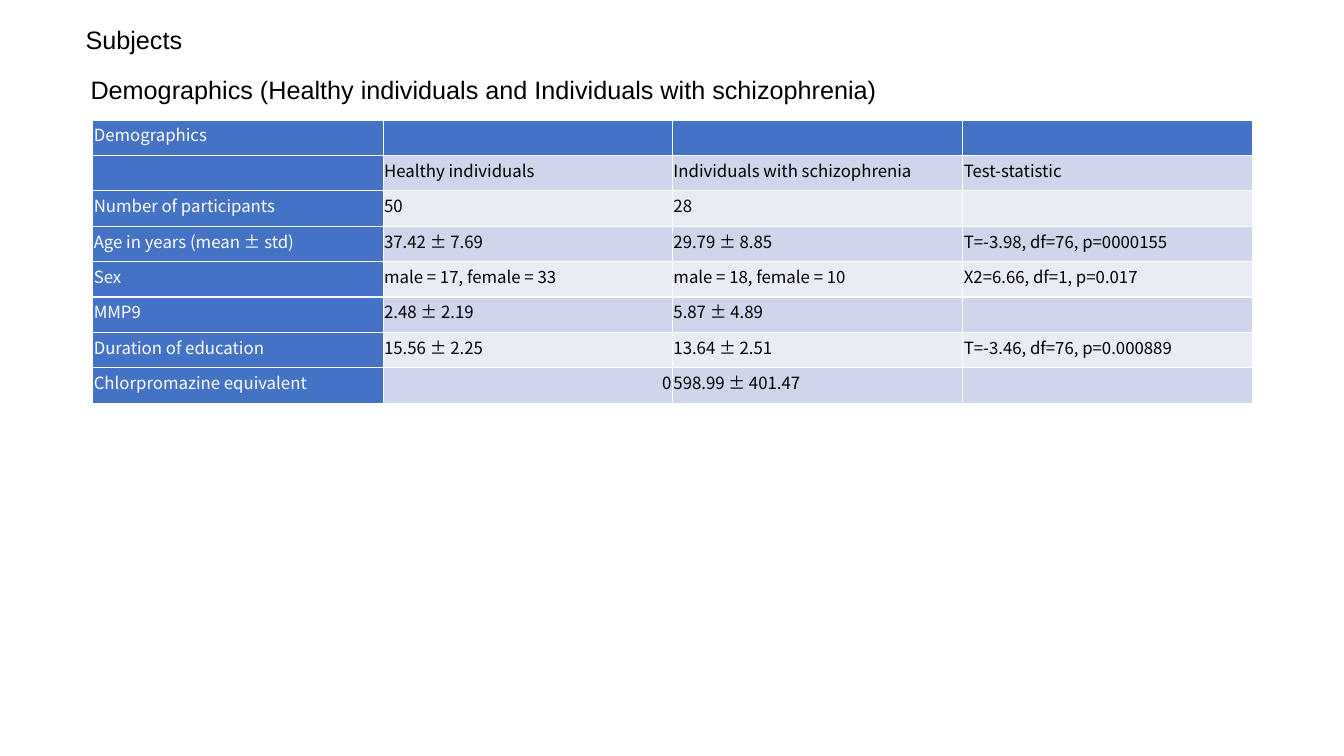
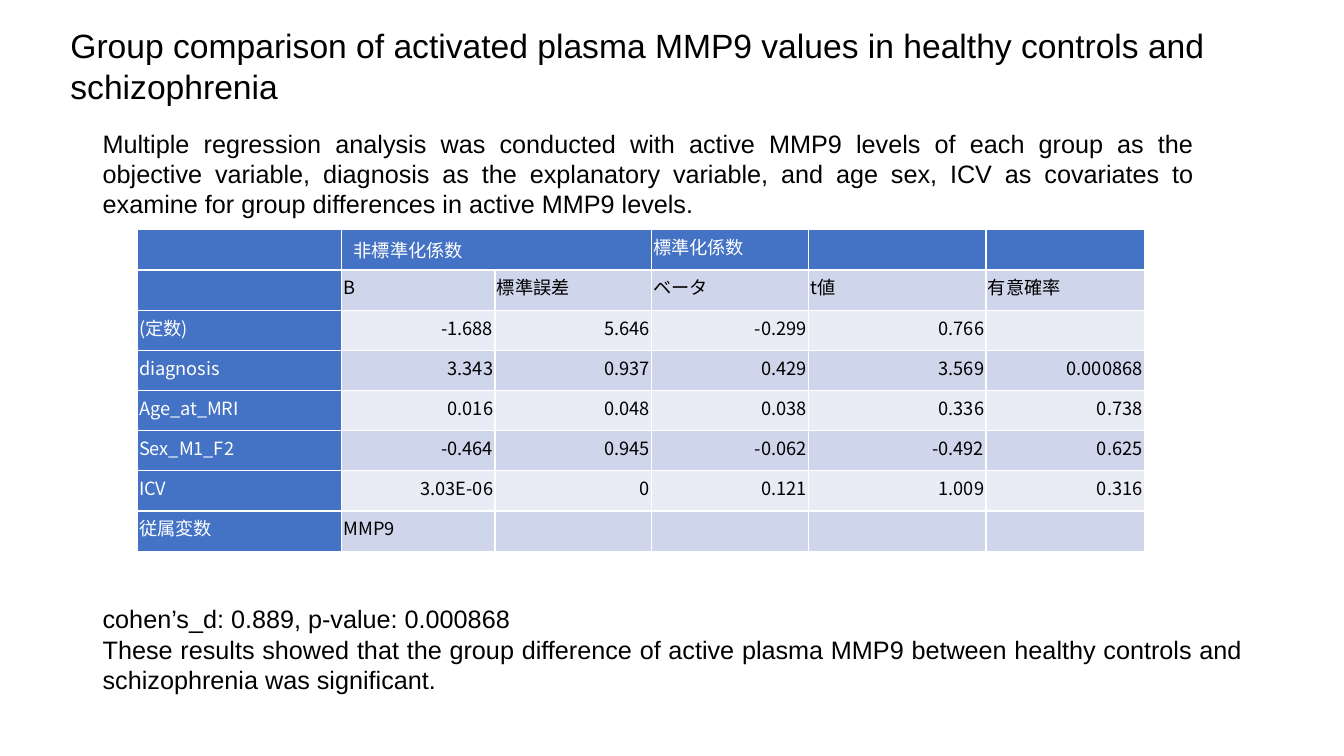
"""Build two slides on study demographics and the MMP9 group comparison."""
from dataclasses import dataclass
from typing import Union

from lxml.etree import SubElement
from pptx import Presentation
from pptx.dml.color import RGBColor
from pptx.enum.text import MSO_ANCHOR, MSO_AUTO_SIZE, PP_ALIGN
from pptx.oxml.ns import qn
from pptx.slide import Slide
from pptx.table import _Cell
from pptx.text.text import _Paragraph
from pptx.util import Emu, Pt

EMU_PER_PX = 9144
COLORS = {
    "black": "000000",
    "white": "FFFFFF",
    "header": "4472C4",
    "dark_band": "CFD5EA",
    "light_band": "E9EBF5",
}
TEXT_FONT = "Arial"
TABLE_FONT = "Noto Sans CJK JP"
BODY_SIZE = 18
TITLE_SIZE = 24

CellValue = Union[str, int, float]
Insets = tuple[int, int, int, int]


@dataclass(frozen=True)
class TextBlock:
    left: int
    top: int
    width: int
    height: int
    paragraphs: tuple[str, ...]
    size: int = BODY_SIZE
    align: PP_ALIGN = PP_ALIGN.LEFT
    wrap: bool = True


@dataclass(frozen=True)
class DataTable:
    left: int
    top: int
    height: int
    columns: tuple[int, ...]
    size: int
    insets: Insets
    rows: tuple[tuple[CellValue, ...], ...]


@dataclass(frozen=True)
class HeaderSpan:
    first: int
    last: int
    insets: Insets


DEMOGRAPHICS = DataTable(
    92, 119, 281, (288, 287, 288, 287), 12, (1, 1, 1, 7),
    (
        ("Demographics", "", "", ""),
        ("", "Healthy individuals", "Individuals with schizophrenia", "Test-statistic"),
        ("Number of participants", "50", "28", ""),
        ("Age in years (mean ± std)", "37.42 ± 7.69", "29.79 ± 8.85", "T=-3.98, df=76, p=0000155"),
        ("Sex", "male = 17, female = 33", "male = 18, female = 10", "X2=6.66, df=1, p=0.017"),
        ("MMP9", "2.48 ± 2.19", "5.87 ± 4.89", ""),
        ("Duration of education", "15.56 ± 2.25", "13.64 ± 2.51", "T=-3.46, df=76, p=0.000889"),
        ("Chlorpromazine equivalent", 0, "598.99 ± 401.47", ""),
    ),
)
SUBJECT_TEXTS = (
    TextBlock(75, 19, 117, 40, ("Subjects",), align=PP_ALIGN.JUSTIFY, wrap=False),
    TextBlock(80, 69, 973, 40, ("Demographics (Healthy individuals and Individuals with schizophrenia)",)),
)

REGRESSION = DataTable(
    136, 228, 319, (203, 152, 155, 156, 176, 157), 13, (2, 2, 2, 8),
    (
        ("", "非標準化係数", "", "標準化係数", "", ""),
        ("", "B", "標準誤差", "ベータ", "t値", "有意確率"),
        ("(定数)", -1.688, 5.646, -0.299, 0.766, ""),
        ("diagnosis", 3.343, 0.937, 0.429, 3.569, 0.000868),
        ("Age_at_MRI", 0.016, 0.048, 0.038, 0.336, 0.738),
        ("Sex_M1_F2", -0.464, 0.945, -0.062, -0.492, 0.625),
        ("ICV", 3.03e-06, 0, 0.121, 1.009, 0.316),
        ("従属変数", "MMP9", "", "", "", ""),
    ),
)
COEFFICIENT_SPAN = HeaderSpan(1, 2, (12, 6, 12, 6))
COMPARISON_TEXTS = (
    TextBlock(
        92, 594, 1150, 101,
        (
            "cohen’s_d: 0.889, p-value: 0.000868",
            "These results showed that the group difference of active plasma MMP9 "
            "between healthy controls and schizophrenia was significant.",
        ),
        align=PP_ALIGN.JUSTIFY,
    ),
    TextBlock(
        92, 122, 1102, 101,
        (
            "Multiple regression analysis was conducted with active MMP9 levels of each group "
            "as the objective variable, diagnosis as the explanatory variable, and age sex, "
            "ICV as covariates to examine for group differences in active MMP9 levels.",
        ),
        align=PP_ALIGN.JUSTIFY,
    ),
    TextBlock(
        60, 20, 1195, 91,
        ("Group comparison of activated plasma MMP9 values in healthy controls and schizophrenia",),
        size=TITLE_SIZE,
    ),
)


def px(length: float) -> Emu:
    return Emu(round(length * EMU_PER_PX))


def color(name: str) -> RGBColor:
    return RGBColor.from_string(COLORS[name])


def add_text_run(paragraph: _Paragraph, text: str, font: str, size: int, color_name: str) -> None:
    run = paragraph.add_run()
    run.text = text
    run.font.name = font
    run.font.size = Pt(size)
    run.font.color.rgb = color(color_name)
    SubElement(run.font._element, qn("a:ea"), typeface=font)


def add_text_block(slide: Slide, block: TextBlock) -> None:
    shape = slide.shapes.add_textbox(px(block.left), px(block.top), px(block.width), px(block.height))
    frame = shape.text_frame
    frame.word_wrap = block.wrap
    frame.auto_size = MSO_AUTO_SIZE.SHAPE_TO_FIT_TEXT
    for index, text in enumerate(block.paragraphs):
        paragraph = frame.add_paragraph() if index else frame.paragraphs[0]
        paragraph.alignment = block.align
        add_text_run(paragraph, text, TEXT_FONT, block.size, "black")


def set_insets(cell: _Cell, insets: Insets) -> None:
    cell.margin_left, cell.margin_top, cell.margin_right, cell.margin_bottom = map(px, insets)


def add_borders(cell: _Cell) -> None:
    properties = cell._tc.get_or_add_tcPr()
    for index, side in enumerate(("lnL", "lnR", "lnT", "lnB")):
        line = properties.makeelement(qn(f"a:{side}"), {"w": str(Pt(1))})
        fill = SubElement(line, qn("a:solidFill"))
        SubElement(fill, qn("a:srgbClr"), val=COLORS["white"])
        properties.insert(index, line)


def fill_cell(cell: _Cell, value: CellValue, size: int, fill: str) -> None:
    cell.vertical_anchor = MSO_ANCHOR.MIDDLE
    cell.fill.solid()
    cell.fill.fore_color.rgb = color(fill)
    add_borders(cell)
    paragraph = cell.text_frame.paragraphs[0]
    if value == "":
        SubElement(paragraph._p, qn("a:endParaRPr"), sz=str(size * 100))
        return
    paragraph.alignment = PP_ALIGN.LEFT if isinstance(value, str) else PP_ALIGN.RIGHT
    text = value if isinstance(value, str) else str(value).upper()
    add_text_run(paragraph, text, TABLE_FONT, size, "white" if fill == "header" else "black")


def cell_fill(row: int, column: int) -> str:
    if row == 0 or column == 0:
        return "header"
    return "dark_band" if row % 2 else "light_band"


def add_data_table(slide: Slide, data: DataTable, span: Union[HeaderSpan, None] = None) -> None:
    table = slide.shapes.add_table(
        len(data.rows), len(data.columns),
        px(data.left), px(data.top), px(sum(data.columns)), px(data.height),
    ).table
    table.first_row = table.horz_banding = False
    for column, width in zip(table.columns, data.columns):
        column.width = px(width)
    for row_index, values in enumerate(data.rows):
        table.rows[row_index].height = px(data.height / len(data.rows))
        for column_index, value in enumerate(values):
            cell = table.cell(row_index, column_index)
            set_insets(cell, data.insets)
            fill_cell(cell, value, data.size, cell_fill(row_index, column_index))
    if span:
        origin = table.cell(0, span.first)
        origin.merge(table.cell(0, span.last))
        set_insets(origin, span.insets)


def main() -> None:
    presentation = Presentation()
    presentation.slide_width, presentation.slide_height = px(1333), px(750)
    blank = presentation.slide_layouts[6]
    for data, span, texts in (
        (DEMOGRAPHICS, None, SUBJECT_TEXTS),
        (REGRESSION, COEFFICIENT_SPAN, COMPARISON_TEXTS),
    ):
        slide = presentation.slides.add_slide(blank)
        add_data_table(slide, data, span)
        for block in texts:
            add_text_block(slide, block)
    presentation.save("out.pptx")


if __name__ == "__main__":
    main()
